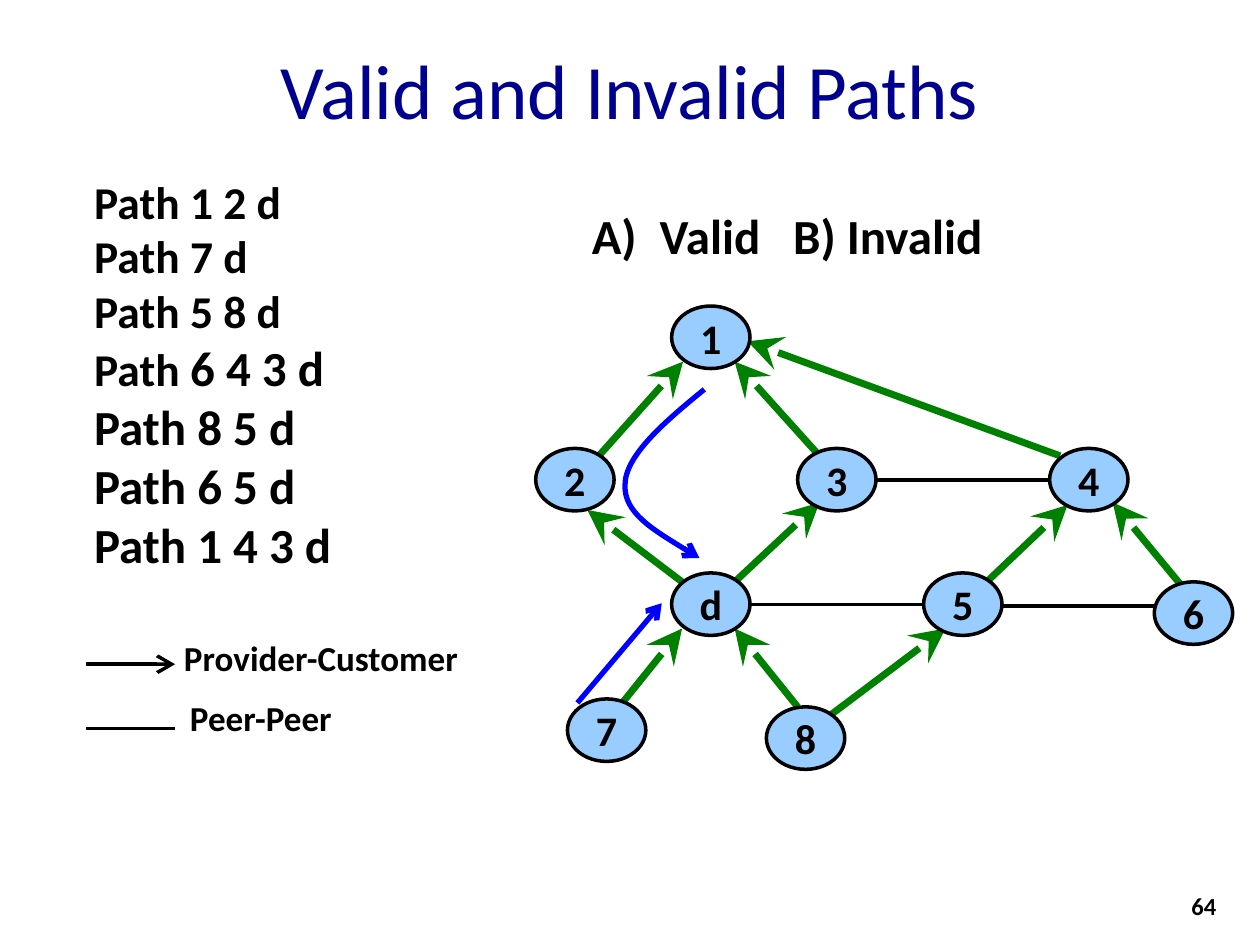
from lxml import etree
from pptx import Presentation
from pptx.dml.color import RGBColor
from pptx.enum.shapes import MSO_CONNECTOR, MSO_SHAPE
from pptx.enum.text import MSO_ANCHOR, PP_ALIGN
from pptx.oxml.ns import qn
from pptx.util import Cm, Pt

OVAL = MSO_SHAPE.OVAL
LINE = MSO_CONNECTOR.STRAIGHT
LEFT, MID, RIGHT = PP_ALIGN.LEFT, PP_ALIGN.CENTER, PP_ALIGN.RIGHT
CENTER = MSO_ANCHOR.MIDDLE
BLACK, GREEN, BLUE, SKY, NAVY = "000000", "008000", "0000FF", "99CCFF", "000090"

NODE_W, NODE_H = 1.58, 1.26
NODES = {
    "1": (2.74, 0), "2": (0, 2.87), "3": (5.28, 2.87), "4": (10.36, 2.87),
    "d": (2.74, 5.38), "5": (7.82, 5.38), "6": (12.47, 5.56),
    "7": (0.64, 7.92), "8": (4.65, 8.08),
}
CLIMBS = [
    (5.72, 3.02, 4.01, 1.12), (2.95, 5.56, 1.04, 4.11),
    (4.01, 5.56, 5.72, 3.96), (9.09, 5.56, 10.72, 4.01),
    (5.28, 8.08, 4.01, 6.5), (1.68, 8.08, 2.95, 6.5),
    (10.57, 3.02, 4.27, 0.71), (1.27, 3.02, 2.97, 1.12),
    (5.92, 8.26, 8.26, 6.5), (12.98, 5.59, 11.63, 3.96),
]
PEERS = [(6.86, 10.36, 3.51), (4.34, 7.82, 6.02), (9.37, 12.47, 6.05)]
TRACE = (0.84, 8, 2.54, 5.99)
BEND = [(3.4, 1.68), (2.59, 2.34), (1.8, 3.02), (1.8, 3.61),
        (1.78, 4.17), (2.54, 4.62), (3.3, 5.08)]
PATHS = [
    [("Path 1 2 d", 26)], [("Path 7 d", 26)], [("Path 5 8 d", 26)],
    [("Path ", 26), ("6 4 3 d", 28)],
    [("Path 8 5 d", 28)], [("Path 6 5 d", 28)], [("Path 1 4 3 d", 28)],
]


def tint(text):
    return RGBColor.from_string(text)


def style(run, size, color=BLACK, bold=True):
    form = {"name": "Calibri", "size": Pt(size), "bold": bold}
    for key, val in form.items():
        setattr(run.font, key, val)
    run.font.color.rgb = tint(color)


def write(frame, rows, align=LEFT, wrap=False):
    frame.word_wrap = wrap
    for i, row in enumerate(rows):
        para = frame.add_paragraph() if i else frame.paragraphs[0]
        para.alignment = align
        for text, size in row:
            run = para.add_run()
            run.text = text
            style(run, size)


def label(slide, box, rows, align=LEFT, wrap=False):
    shape = slide.shapes.add_textbox(*map(Cm, box))
    write(shape.text_frame, rows, align, wrap)
    return shape.text_frame


def pen(shape, color, width, tip=None, size="med"):
    shape.line.color.rgb = tint(color)
    shape.line.width = Pt(width)
    if tip:
        line = shape.line._get_or_add_ln()
        etree.SubElement(line, qn("a:tailEnd"), type=tip, w=size, len=size)


def link(slide, ends, *look):
    wire = slide.shapes.add_connector(LINE, *map(Cm, ends))
    pen(wire, *look)
    etree.SubElement(wire._element.spPr, qn("a:effectLst"))


def curve(slide, points, *look):
    spots = [(Cm(x), Cm(y)) for x, y in points]
    maker = slide.shapes.build_freeform(*spots[0])
    maker.add_line_segments(spots[1:], close=False)
    shape = maker.convert_to_shape()
    shape.shadow.inherit = False
    shape.fill.background()
    pen(shape, *look)
    steps = list(shape._element.iter(qn("a:lnTo")))
    route = steps[0].getparent()
    for i in range(0, len(steps), 3):
        arc = etree.SubElement(route, qn("a:cubicBezTo"))
        for step in steps[i:i + 3]:
            arc.append(step[0])
            route.remove(step)


def head(slide, box, text):
    title = slide.shapes.title
    for key, val in zip(("left", "top", "width", "height"), box):
        setattr(title, key, Cm(val))
    frame = title.text_frame
    frame.text = text
    frame.vertical_anchor = CENTER
    para = frame.paragraphs[0]
    para.alignment = MID
    style(para.runs[0], 44, NAVY, False)


def choice(slide, box):
    frame = label(slide, box, [[("A)\tValid\tB) Invalid", 28)]], wrap=True)
    tabs = etree.SubElement(frame.paragraphs[0]._p.get_or_add_pPr(),
                            qn("a:tabLst"))
    for stop in (1.37, 4.06):
        etree.SubElement(tabs, qn("a:tab"), pos=str(Cm(stop)), algn="l")


def legend(slide, x, y):
    link(slide, (x, y, x + 1.8, y), BLACK, 2, "arrow", "lg")
    link(slide, (x, y + 1.3, x + 1.8, y + 1.3), BLACK, 2)
    label(slide, (x + 1.73, y - 0.69, 6.07, 1.12), [[("Provider-Customer", 20)]])
    label(slide, (x + 1.85, y + 0.53, 3.4, 1.12), [[("Peer-Peer", 20)]])


def node(slide, x, y, name):
    shape = slide.shapes.add_shape(OVAL, *map(Cm, (x, y, NODE_W, NODE_H)))
    shape.shadow.inherit = False
    shape.fill.solid()
    shape.fill.fore_color.rgb = tint(SKY)
    pen(shape, BLACK, 2)
    frame = shape.text_frame
    for side in ("left", "top", "right", "bottom"):
        setattr(frame, "margin_" + side, 0)
    frame.vertical_anchor = CENTER
    write(frame, [[(name, 24)]], MID)


def graph(slide, x, y):
    def shift(ends):
        a, b, c, d = ends
        return x + a, y + b, x + c, y + d

    for ends in CLIMBS:
        link(slide, shift(ends), GREEN, 4, "stealth", "lg")
    for start, stop, row in PEERS:
        link(slide, shift((start, row, stop, row)), BLACK, 2)
    for name, (a, b) in NODES.items():
        node(slide, x + a, y + b, name)
    curve(slide, [(x + a, y + b) for a, b in BEND], BLUE, 3, "arrow")
    link(slide, shift(TRACE), BLUE, 3, "arrow")


def main():
    deck = Presentation()
    deck.slide_width, deck.slide_height = Cm(25.4), Cm(19.05)
    slide = deck.slides.add_slide(deck.slide_layouts[5])
    head(slide, (1.27, 0.2, 22.86, 3.18), "Valid and Invalid Paths")
    label(slide, (1.65, 3.38, 5.33, 9.5), PATHS)
    choice(slide, (11.68, 4.01, 8.46, 1.45))
    graph(slide, 10.8, 6.17)
    legend(slide, 1.73, 13.39)
    label(slide, (18.85, 17.83, 5.92, 1.02), [[("64", 14)]], RIGHT, True)
    deck.save("out.pptx")


if __name__ == "__main__":
    main()
